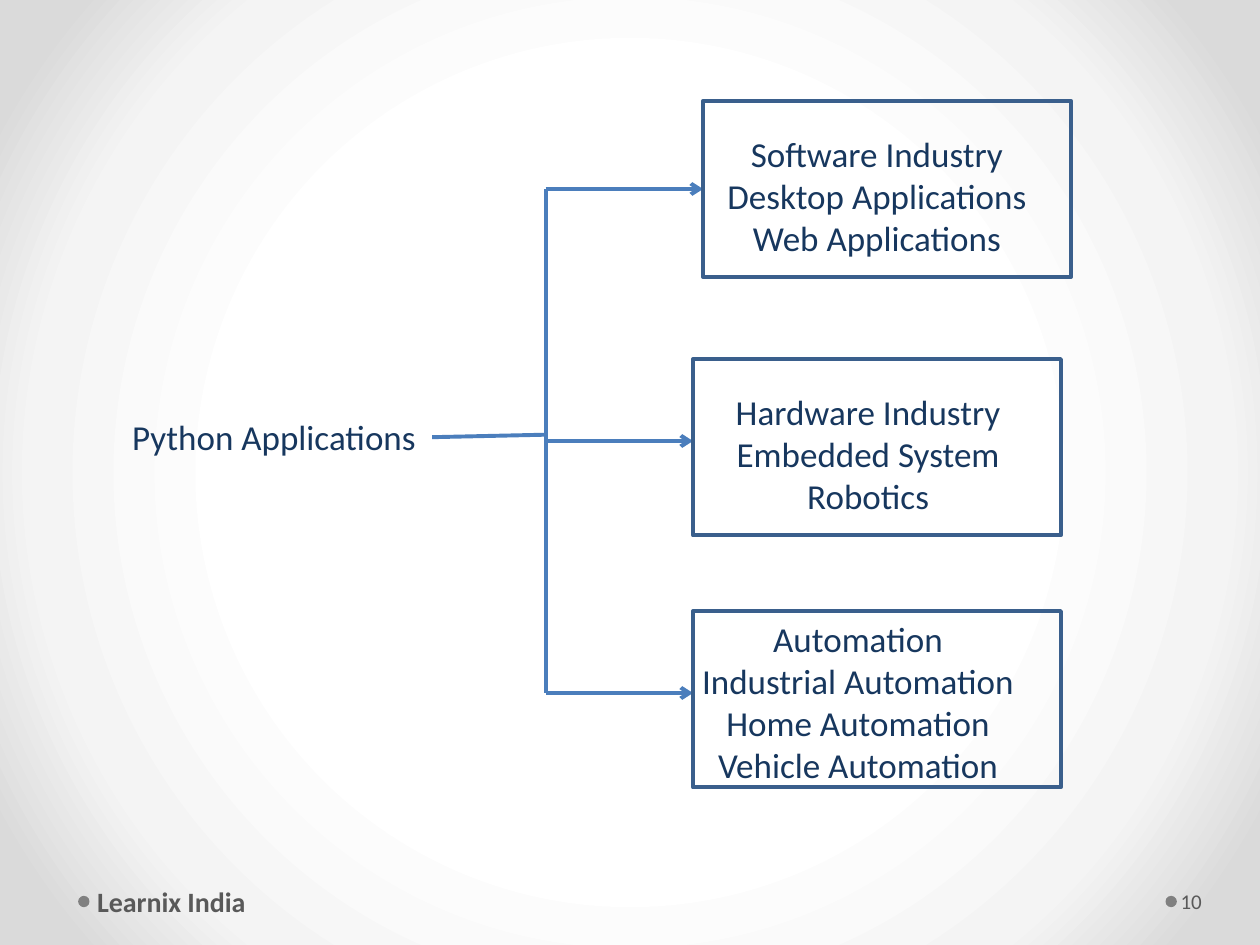
"""Build a slide that branches Python applications into three industries."""
from lxml import etree
from pptx import Presentation
from pptx.dml.color import RGBColor
from pptx.enum.shapes import MSO_CONNECTOR, MSO_SHAPE
from pptx.enum.text import MSO_ANCHOR, MSO_AUTO_SIZE, PP_ALIGN
from pptx.oxml import parse_xml
from pptx.oxml.ns import qn
from pptx.util import Inches, Pt

STRAIGHT = MSO_CONNECTOR.STRAIGHT
RECTANGLE, OVAL = MSO_SHAPE.RECTANGLE, MSO_SHAPE.OVAL
TOP, MIDDLE = MSO_ANCHOR.TOP, MSO_ANCHOR.MIDDLE
GROW = MSO_AUTO_SIZE.SHAPE_TO_FIT_TEXT
LEFT, CENTER = PP_ALIGN.LEFT, PP_ALIGN.CENTER

NAVY = RGBColor(0x17, 0x37, 0x5E)
BRANCH_BLUE = RGBColor(0x4B, 0x7E, 0xBC)
BORDER_BLUE = RGBColor(0x3A, 0x5F, 0x8C)
DOT_GRAY = RGBColor(0x80, 0x80, 0x80)
FOOTER_GRAY = RGBColor(0x59, 0x59, 0x59)
GLOW = [(50, RGBColor(0xFF, 0xFF, 0xFF)),
        (76, RGBColor(0xF4, 0xF4, 0xF4)),
        (92, RGBColor(0xDA, 0xDA, 0xDA))]

presentation = Presentation()
presentation.slide_width = Inches(10)
presentation.slide_height = Inches(7.5)
slide = presentation.slides.add_slide(presentation.slide_layouts[6])
shapes = slide.shapes


def add_text(place, lines, size, color, align=LEFT, anchor=TOP, bold=False):
    label = shapes.add_textbox(*map(Inches, place))
    frame = label.text_frame
    frame.text = "\n".join(lines)
    frame.vertical_anchor = anchor
    for paragraph in frame.paragraphs:
        paragraph.alignment = align
        font = paragraph.runs[0].font
        font.name, font.size, font.bold = "Calibri", Pt(size), bold
        font.color.rgb = color
    return frame


def add_branch(start, end, arrow=False):
    branch = shapes.add_connector(STRAIGHT, *map(Inches, start + end))
    branch.line.color.rgb = BRANCH_BLUE
    branch.line.width = Pt(2.25)
    if arrow:
        etree.SubElement(branch.line._get_or_add_ln(), qn("a:tailEnd"), type="arrow")
    etree.SubElement(branch._element.spPr, qn("a:effectLst"))


slide.background.fill.solid()
flat_fill = slide.background._cSld.bg.bgPr.find(qn("a:solidFill"))
stops = "".join(
    f'<a:gs pos="{share * 1000}"><a:srgbClr val="{color}"/></a:gs>'
    for share, color in GLOW)
glow_fill = parse_xml(
    '<a:gradFill xmlns:a="http://schemas.openxmlformats.org/drawingml/2006/main" '
    f'rotWithShape="1"><a:gsLst>{stops}</a:gsLst><a:path path="circle">'
    '<a:fillToRect l="50000" t="50000" r="50000" b="50000"/></a:path></a:gradFill>')
flat_fill.getparent().replace(flat_fill, glow_fill)

for dot_left in (9.25, 0.62):
    dot = shapes.add_shape(OVAL, *map(Inches, (dot_left, 7.11, 0.09, 0.09)))
    dot.shadow.inherit = False
    dot.fill.solid()
    dot.fill.fore_color.rgb = DOT_GRAY
    dot.line.fill.background()

page_number = add_text((9.34, 6.95, 0.61, 0.4), ["10"], 12, FOOTER_GRAY, anchor=MIDDLE)
page_number.margin_left, page_number.margin_right = Inches(0.03), Inches(0.05)
page_number.word_wrap = True
footer = add_text((0.72, 6.95, 3.11, 0.4), ["Learnix India"], 16, FOOTER_GRAY,
                  anchor=MIDDLE, bold=True)
footer.margin_left = Inches(0.05)
footer.word_wrap = True

root = add_text((0.95, 3.25, 2.48, 0.44), ["Python Applications"], 20, NAVY)
root.word_wrap = False
root.auto_size = GROW

TRUNK, FIRST_ROW, ROW_STEP = 4.33, 1.5, 2
BOX_WIDTH, BOX_HEIGHT = 2.92, 1.4
industries = [
    (5.58, 0.8, (5.66, 1, 2.6, 1.11),
     ["Software Industry", "Desktop Applications", "Web Applications"]),
    (5.5, 2.85, (5.73, 3.05, 2.32, 1.11),
     ["Hardware Industry", "Embedded System", "Robotics"]),
    (5.5, 4.85, (5.46, 4.85, 2.7, 1.45),
     ["Automation", "Industrial Automation", "Home Automation", "Vehicle Automation"]),
]

add_branch((3.43, 3.47), (TRUNK, 3.45))
add_branch((TRUNK, FIRST_ROW), (TRUNK, FIRST_ROW + 2 * ROW_STEP))
for row, (box_left, box_top, text_place, fields) in enumerate(industries):
    branch_y = FIRST_ROW + row * ROW_STEP
    add_branch((TRUNK, branch_y), (box_left, branch_y), arrow=True)
    box = shapes.add_shape(
        RECTANGLE, *map(Inches, (box_left, box_top, BOX_WIDTH, BOX_HEIGHT)))
    box.shadow.inherit = False
    box.fill.background()
    box.line.color.rgb = BORDER_BLUE
    box.line.width = Pt(2.25)
    industry = add_text(text_place, fields, 20, NAVY, align=CENTER)
    industry.word_wrap = False
    industry.auto_size = GROW

presentation.save("out.pptx")
